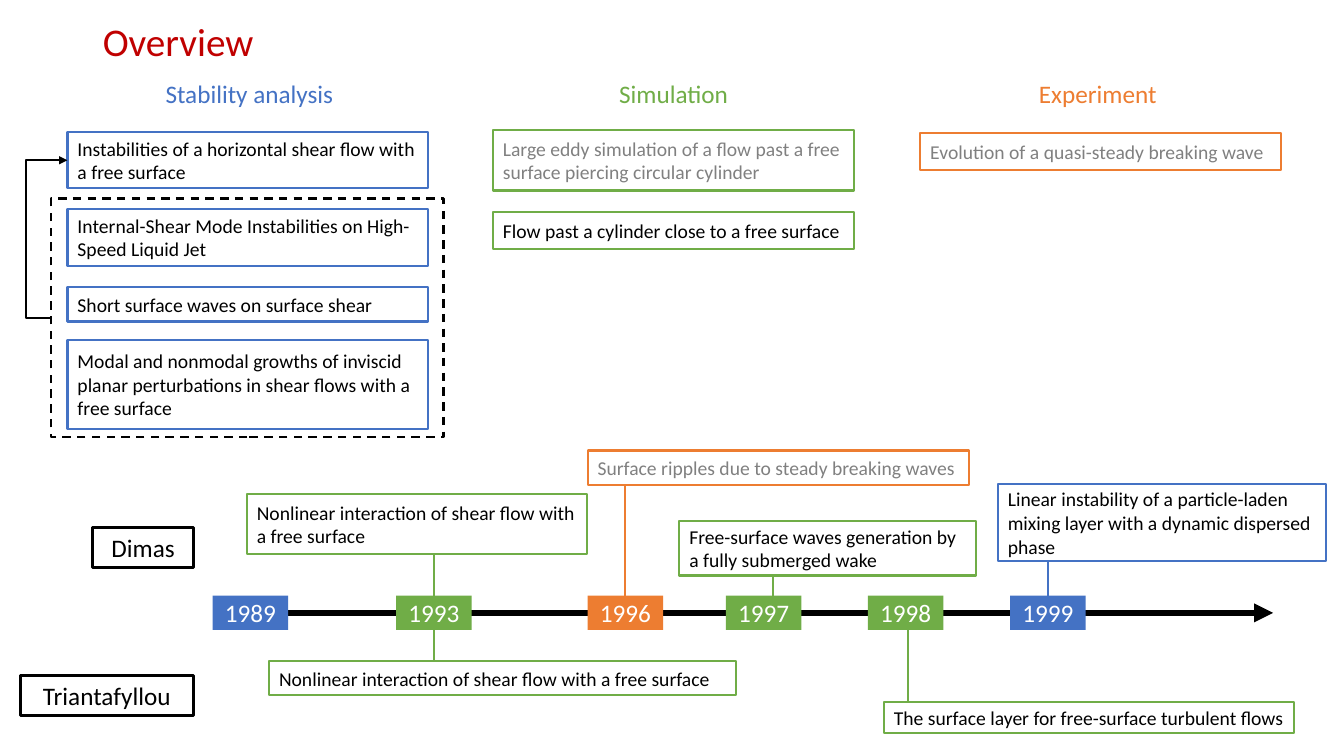
import collections
import lxml.etree
import pptx
import pptx.dml.color
import pptx.enum.dml
import pptx.enum.shapes
import pptx.enum.text
import pptx.oxml.ns
import pptx.util

RGBColor = pptx.dml.color.RGBColor
BLUE = RGBColor(0x44, 0x72, 0xC4)
GREEN = RGBColor(0x70, 0xAD, 0x47)
ORANGE = RGBColor(0xED, 0x7D, 0x31)
RED = RGBColor(0xC0, 0x00, 0x00)
GRAY = RGBColor(0x80, 0x80, 0x80)
BLACK = RGBColor(0x00, 0x00, 0x00)
WHITE = RGBColor(0xFF, 0xFF, 0xFF)

COLUMNS, ROWS = 80, 45
CELL = pptx.util.Inches(1) / 6
FONT = "Calibri"
TOP, LEFT, BOTTOM, RIGHT = range(4)
CENTER = pptx.enum.text.PP_ALIGN.CENTER
START = pptx.enum.text.PP_ALIGN.LEFT
MIDDLE = pptx.enum.text.MSO_ANCHOR.MIDDLE
STRAIGHT = pptx.enum.shapes.MSO_CONNECTOR.STRAIGHT
ELBOW = pptx.enum.shapes.MSO_CONNECTOR.ELBOW

Box = collections.namedtuple("Box", "left top width height")
Event = collections.namedtuple("Event", "year text text_color box link_shift")

CARD_WIDTH = 21.48
YEAR_WIDTH, YEAR_HEIGHT = 4.5, 2.04
YEARS = {
    "1989": (12.66, BLUE),
    "1993": (23.58, GREEN),
    "1996": (34.98, ORANGE),
    "1997": (43.2, GREEN),
    "1998": (51.66, GREEN),
    "1999": (60.12, BLUE),
}
INTERACTION = "Nonlinear interaction of shear flow with a free surface"
EVENTS = [
    Event("1993", INTERACTION, BLACK, Box(14.7, 2.58, 20.22, 3.6), 0),
    Event("1993", INTERACTION, BLACK, Box(16.02, 12.54, 27.78, 2.04), 0),
    Event("1996", "Surface ripples due to steady breaking waves", GRAY,
          Box(34.98, 0, 22.68, 2.04), 0),
    Event("1997", "Free-surface waves generation by a fully submerged wake", BLACK,
          Box(40.44, 4.2, 17.64, 3.24), 0.57),
    Event("1998", "The surface layer for free-surface turbulent flows", BLACK,
          Box(52.62, 14.94, 24.42, 1.86), 0.15),
    Event("1999", "Linear instability of a particle-laden mixing layer with a dynamic dispersed phase",
          BLACK, Box(59.4, 1.98, 19.56, 4.62), 0),
]
AUTHORS = {"Dimas": Box(5.52, 4.56, 6, 2.4), "Triantafyllou": Box(1.2, 13.38, 10.32, 2.4)}
STABILITY = [
    ("Instabilities of a horizontal shear flow with a free surface", 0, 3.36, BLACK),
    ("Internal-Shear Mode Instabilities on High-Speed Liquid Jet", 4.56, 3.42, BLACK),
    ("Short surface waves on surface shear", 9.24, 2.04, BLACK),
    ("Modal and nonmodal growths of inviscid planar perturbations in shear flows with a free surface",
     12.36, 5.34, BLACK),
]
SIMULATION = [
    ("Large eddy simulation of a flow past a free surface piercing circular cylinder", 0, 3.6, GRAY),
    ("Flow past a cylinder close to a free surface", 4.86, 2.22, BLACK),
]
EXPERIMENT = [("Evolution of a quasi-steady breaking wave", 0, 2.22, GRAY)]


def grid(*cells):
    return [pptx.util.Emu(round(cell * CELL)) for cell in cells]


def inside(box, part):
    return Box(box.left + part.left, box.top + part.top, part.width, part.height)


def apply(target, formats):
    for name, value in formats.items():
        setattr(target, name, value)


def write(frame, text, size, color, alignment):
    paragraph = frame.paragraphs[0]
    paragraph.text = text
    paragraph.alignment = alignment
    font = paragraph.runs[0].font
    apply(font, {"name": FONT, "size": pptx.util.Pt(size), "bold": False})
    font.color.rgb = color


def add_rectangle(slide, box, line=None, fill=None, width=1.5):
    shape = slide.shapes.add_shape(pptx.enum.shapes.MSO_SHAPE.RECTANGLE, *grid(*box))
    shape.shadow.inherit = False
    if fill is None:
        shape.fill.background()
    else:
        shape.fill.solid()
        shape.fill.fore_color.rgb = fill
    if line is None:
        shape.line.fill.background()
    else:
        shape.line.color.rgb = line
        shape.line.width = pptx.util.Pt(width)
    apply(shape.text_frame, {"word_wrap": True, "vertical_anchor": MIDDLE})
    return shape


def add_card(slide, box, text, color, text_color):
    shape = add_rectangle(slide, box, color)
    write(shape.text_frame, text, 14, text_color, START)
    return shape


def add_line(slide, kind, start, end, color, width=1.5, arrow=False):
    connector = slide.shapes.add_connector(kind, *grid(*start, *end))
    connector.line.color.rgb = color
    connector.line.width = pptx.util.Pt(width)
    properties = connector._element.spPr
    if arrow:
        outline = properties.find(pptx.oxml.ns.qn("a:ln"))
        lxml.etree.SubElement(outline, pptx.oxml.ns.qn("a:tailEnd"), type="triangle")
    lxml.etree.SubElement(properties, pptx.oxml.ns.qn("a:effectLst"))
    return connector


def build_title(slide, box):
    title = slide.shapes.title
    apply(title, dict(zip(Box._fields, grid(*box))))
    title.text_frame.vertical_anchor = MIDDLE
    write(title.text_frame, "Overview", 28, RED, START)
    title.text_frame.paragraphs[0].line_spacing = 0.9


def build_headings(slide, box):
    headings = {"Stability analysis": BLUE, "Simulation": GREEN, "Experiment": ORANGE}
    table = slide.shapes.add_table(1, len(headings), *grid(*box)).table
    apply(table, {"first_row": False, "horz_banding": False})
    for cell, (text, color) in zip(table.rows[0].cells, headings.items()):
        cell.fill.background()
        write(cell.text_frame, text, 18, color, CENTER)


def build_papers(slide, box, color, papers):
    return [
        add_card(slide, inside(box, Box(0, top, box.width, height)), text, color, text_color)
        for text, top, height, text_color in papers
    ]


def build_stability(slide, box):
    cards = build_papers(slide, box, BLUE, STABILITY)
    frame_box = inside(box, Box(-0.96, 3.96, 23.34, 14.22))
    frame = add_rectangle(slide, frame_box, BLACK)
    frame.line.dash_style = pptx.enum.dml.MSO_LINE.DASH
    start = (frame_box.left, frame_box.top + frame_box.height / 2)
    end = (box.left, box.top + STABILITY[0][2] / 2)
    connector = add_line(slide, ELBOW, start, end, BLACK, arrow=True)
    connector.begin_connect(frame, LEFT)
    connector.end_connect(cards[0], LEFT)
    guides = connector._element.spPr.find(".//" + pptx.oxml.ns.qn("a:avLst"))
    lxml.etree.SubElement(guides, pptx.oxml.ns.qn("a:gd"), name="adj1", fmla="val -159100")


def build_timeline(slide, box):
    year_top = 8.64
    axis = box.top + year_top + YEAR_HEIGHT / 2
    arrow = add_line(slide, STRAIGHT, (box.left + 17.16, axis), (box.left + 75.78, axis),
                     BLACK, 4.5, True)
    for name, part in AUTHORS.items():
        shape = add_rectangle(slide, inside(box, part), BLACK, width=2.25)
        write(shape.text_frame, name, 18, BLACK, CENTER)
    years = {}
    for year, (left, color) in YEARS.items():
        part = Box(left, year_top, YEAR_WIDTH, YEAR_HEIGHT)
        years[year] = add_rectangle(slide, inside(box, part), fill=color)
        write(years[year].text_frame, year, 18, WHITE, CENTER)
    arrow.begin_connect(years["1989"], RIGHT)
    for event in EVENTS:
        left, color = YEARS[event.year]
        card_box = inside(box, event.box)
        add_card(slide, card_box, event.text, color, event.text_color)
        above = event.box.top < year_top
        x = box.left + left + YEAR_WIDTH / 2 + event.link_shift
        year_edge = box.top + year_top + (0 if above else YEAR_HEIGHT)
        card_edge = card_box.top + (card_box.height if above else 0)
        link = add_line(slide, STRAIGHT, (x, card_edge), (x, year_edge), color)
        if not event.link_shift:
            link.end_connect(years[event.year], TOP if above else BOTTOM)


def main():
    presentation = pptx.Presentation()
    width, height = grid(COLUMNS, ROWS)
    apply(presentation, {"slide_width": width, "slide_height": height})
    slide = presentation.slides.add_slide(presentation.slide_layouts[5])
    build_title(slide, Box(5.52, 0.54, 69, 4.08))
    build_headings(slide, Box(2.22, 4.44, 75.75, 2.4))
    build_stability(slide, Box(4.02, 7.86, CARD_WIDTH, 17.7))
    build_papers(slide, Box(29.34, 7.74, CARD_WIDTH, 7.08), GREEN, SIMULATION)
    build_papers(slide, Box(54.78, 7.92, CARD_WIDTH, 2.22), ORANGE, EXPERIMENT)
    build_timeline(slide, Box(0, 26.82, COLUMNS, 16.8))
    presentation.save("out.pptx")


if __name__ == "__main__":
    main()
